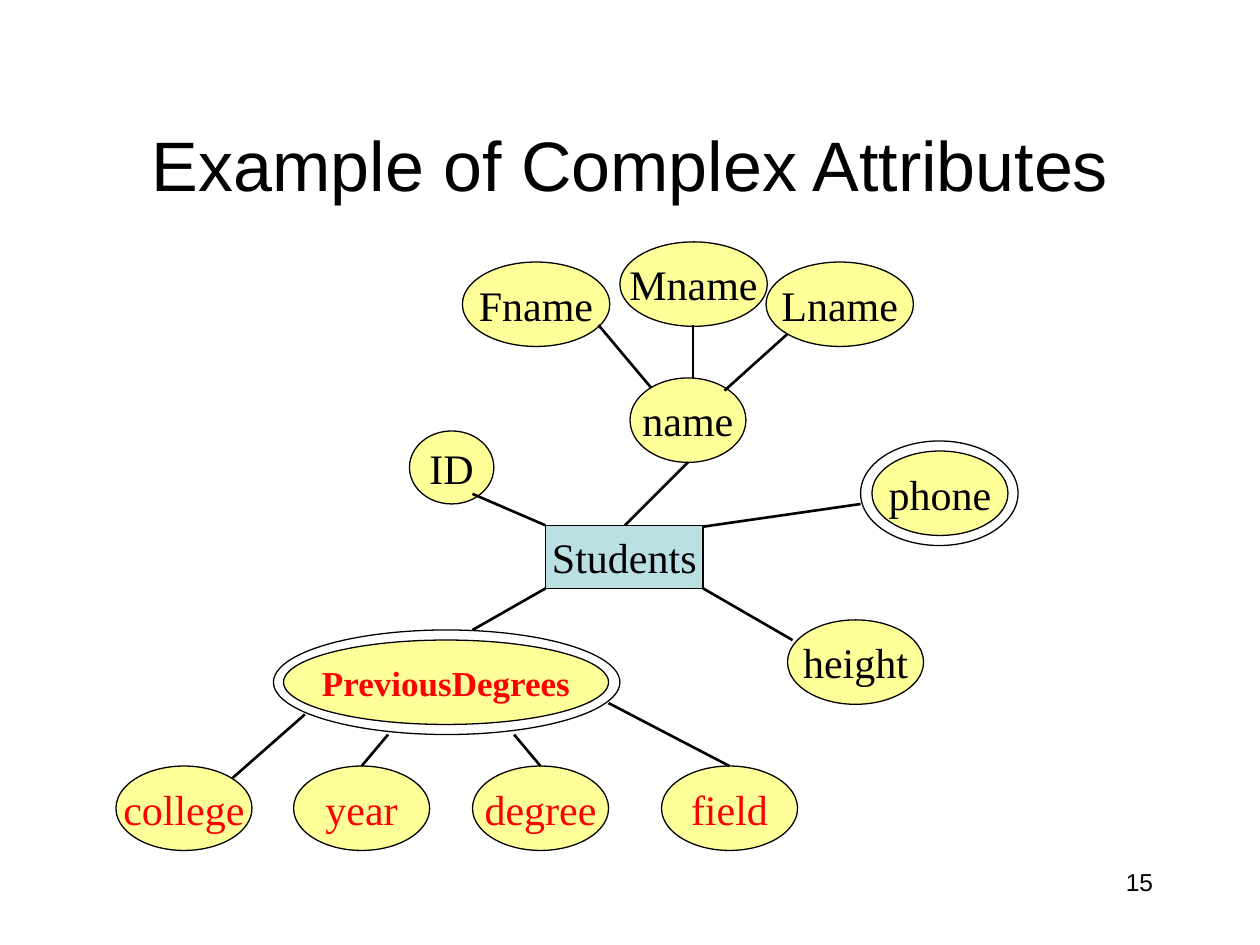
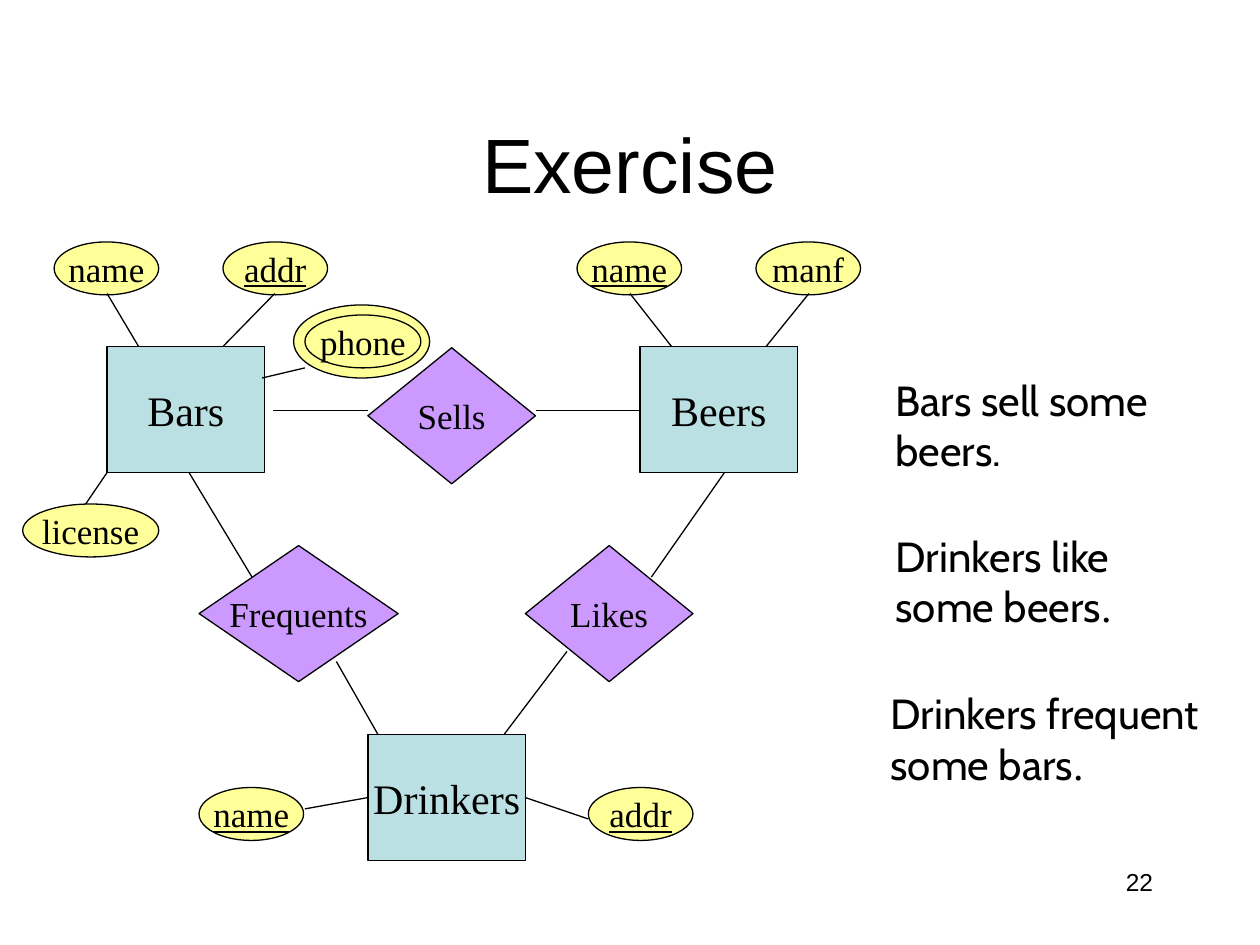
import pptx
import pptx.util
import pptx.dml.color
import pptx.enum.shapes
import pptx.enum.text
import pptx.oxml.ns
import lxml.etree

Inches, Pt = pptx.util.Inches, pptx.util.Pt
Shape = pptx.enum.shapes.MSO_SHAPE
Align, Anchor = pptx.enum.text.PP_ALIGN, pptx.enum.text.MSO_ANCHOR

COLORS = {"ink": "000000", "key": "FF0000", "entity": "BBE0E3",
          "attr": "FFFF99", "link": "CC99FF"}
SERIF, SANS, NOTE = "Times New Roman", "Arial", "Cabin"
SMALL = 20  # label size that stays inside flat ovals and diamonds


def color(name):
    return pptx.dml.color.RGBColor.from_string(COLORS[name])


class Deck:
    def __init__(self):
        self.prs = pptx.Presentation()
        self.prs.slide_width, self.prs.slide_height = Inches(10), Inches(7.5)
        self.slide = None
        self.weight = 0.75

    def page(self, title, size, number, weight):
        """Start a slide; weight is the width of its edges in points."""
        self.slide = self.prs.slides.add_slide(self.prs.slide_layouts[5])
        self.weight = weight
        box = self.slide.shapes.title
        box.left, box.top = Inches(0.75), Inches(0.67)
        box.width, box.height = Inches(8.5), Inches(1.25)
        frame = box.text_frame
        frame.text = title
        frame.auto_size = pptx.enum.text.MSO_AUTO_SIZE.NONE
        frame.vertical_anchor = Anchor.MIDDLE
        self.style(frame.paragraphs[0], SANS, size, align=Align.CENTER)
        frame = self.box(7.17, 6.83, 2.08, 0.5)
        frame.text = number
        self.style(frame.paragraphs[0], SANS, 14, align=Align.RIGHT)

    def style(self, para, face, size, ink="ink", align=Align.LEFT):
        para.alignment = align
        font = para.font
        font.name, font.size = face, Pt(size)
        font.color.rgb = color(ink)

    def box(self, x, y, w, h, wrap=True):
        area = map(Inches, (x, y, w, h))
        frame = self.slide.shapes.add_textbox(*area).text_frame
        frame.word_wrap = wrap
        return frame

    def node(self, kind, x, y, w, h, fill=None, text="", size=24,
             ink="ink", bold=False, under=False):
        area = map(Inches, (x, y, w, h))
        shape = self.slide.shapes.add_shape(kind, *area)
        shape.shadow.inherit = False
        if fill:
            shape.fill.solid()
            shape.fill.fore_color.rgb = color(fill)
        else:
            shape.fill.background()
        shape.line.color.rgb = color("ink")
        shape.line.width = Pt(0.75)
        if text:
            frame = shape.text_frame
            frame.text = text
            frame.word_wrap = False
            frame.vertical_anchor = Anchor.MIDDLE
            para = frame.paragraphs[0]
            self.style(para, SERIF, size, ink, Align.CENTER)
            para.font.bold, para.font.underline = bold, under

    def entity(self, text, x, y, h=1):
        self.node(Shape.RECTANGLE, x, y, 1.25, h, "entity", text)

    def attr(self, text, x, y, w, h, **look):
        self.node(Shape.OVAL, x, y, w, h, "attr", text, **look)

    def flat(self, text, x, y, w=0.83, under=False):
        """Low attribute oval with a small label."""
        self.attr(text, x, y, w, 0.42, size=SMALL, under=under)

    def ring(self, x, y, w, h, fill=None):
        """Outer oval of a multivalued attribute."""
        self.node(Shape.OVAL, x, y, w, h, fill)

    def link(self, text, x, y, w=1.33):
        self.node(Shape.DIAMOND, x, y, w, 1.08, "link", text, SMALL)

    def edges(self, *ends):
        for end in ends:
            line = self.slide.shapes.add_connector(
                pptx.enum.shapes.MSO_CONNECTOR.STRAIGHT, *map(Inches, end))
            line.line.color.rgb = color("ink")
            line.line.width = Pt(self.weight)
            lxml.etree.SubElement(line._element.spPr,
                                  pptx.oxml.ns.qn("a:effectLst"))

    def note(self, x, y, w, first, last, stop):
        """Two-line sentence whose full stop is set in the face stop."""
        frame = self.box(x, y, w, 0.9, wrap=False)
        frame.text = first
        para = frame.add_paragraph()
        para.add_run().text = last
        dot = para.add_run()
        dot.text = "."
        for line in frame.paragraphs:
            self.style(line, NOTE, 24)
        if stop != NOTE:
            dot.font.name = stop


def complex_page(deck):
    deck.page("Example of Complex Attributes", 40, "15", 1.5)
    deck.entity("Students", 4.33, 4.17, 0.5)
    deck.attr("ID", 3.25, 3.42, 0.67, 0.58)
    deck.attr("name", 5, 3, 0.92, 0.67)
    deck.attr("phone", 6.92, 3.58, 1.08, 0.67)
    deck.attr("height", 6.25, 4.92, 1.08, 0.67)
    for text, x, y in (("Fname", 3.67, 2.08), ("Mname", 4.92, 1.92),
                       ("Lname", 6.08, 2.08)):
        deck.attr(text, x, y, 1.17, 0.67)
    deck.ring(6.83, 3.5, 1.25, 0.83)
    deck.attr("PreviousDegrees", 2.25, 5.08, 2.58, 0.67,
              size=20, ink="key", bold=True)
    deck.ring(2.17, 5, 2.75, 0.83)
    for text, x in (("college", 0.92), ("year", 2.33),
                    ("degree", 3.75), ("field", 5.25)):
        deck.attr(text, x, 6.08, 1.08, 0.67, ink="key")
    deck.edges(
        (4.33, 4.17, 3.75, 3.92), (4.96, 4.17, 5.46, 3.67),
        (5.58, 4.67, 6.29, 5.08), (5.58, 4.18, 6.83, 4),
        (5.17, 3.08, 4.75, 2.58), (5.5, 3, 5.5, 2.58),
        (5.75, 3.1, 6.25, 2.65), (4.33, 4.67, 3.75, 5),
        (2.42, 5.67, 1.84, 6.18), (3.08, 5.83, 2.87, 6.08),
        (4.29, 6.08, 4.08, 5.83), (5.79, 6.08, 4.83, 5.58))


def exercise_page(deck):
    deck.page("Exercise", 44, "22", 0.75)
    deck.entity("Drinkers", 2.92, 5.83)
    deck.entity("Beers", 5.08, 2.75)
    deck.entity("Bars", 0.85, 2.75)
    deck.link("Sells", 2.92, 2.76)
    deck.link("Likes", 4.17, 4.33)
    deck.link("Frequents", 1.58, 4.33, 1.58)
    for text, x, y, key in (
            ("addr", 4.67, 6.25, True), ("name", 1.58, 6.25, True),
            ("manf", 6, 1.92, False), ("name", 4.58, 1.92, True),
            ("name", 0.43, 1.92, False), ("addr", 1.77, 1.92, True)):
        deck.flat(text, x, y, under=key)
    deck.flat("license", 0.18, 4, 1.08)
    deck.ring(2.33, 2.42, 1.08, 0.58, "attr")
    deck.flat("phone", 2.42, 2.5, 0.92)
    deck.edges(
        (2.42, 6.42, 2.92, 6.33), (4.67, 6.5, 4.17, 6.33),
        (5, 2.33, 5.33, 2.75), (6.42, 2.33, 6.08, 2.75),
        (2.92, 3.26, 2.17, 3.26), (4.25, 3.26, 5.08, 3.26),
        (4, 5.83, 4.5, 5.17), (5.17, 4.58, 5.75, 3.75),
        (2, 4.58, 1.5, 3.75), (3, 5.83, 2.67, 5.25),
        (0.85, 2.33, 1.1, 2.75), (2.18, 2.33, 1.77, 2.75),
        (0.68, 4, 0.85, 3.75), (2.42, 2.92, 2.08, 3))
    deck.note(7.01, 2.92, 2.45, "Bars sell some", "beers", NOTE)
    deck.note(7.01, 4.16, 2.16, "Drinkers like", "some beers", SERIF)
    deck.note(6.97, 5.41, 2.99, "Drinkers frequent", "some bars", SERIF)


def main():
    deck = Deck()
    complex_page(deck)
    exercise_page(deck)
    deck.prs.save("out.pptx")


if __name__ == "__main__":
    main()
